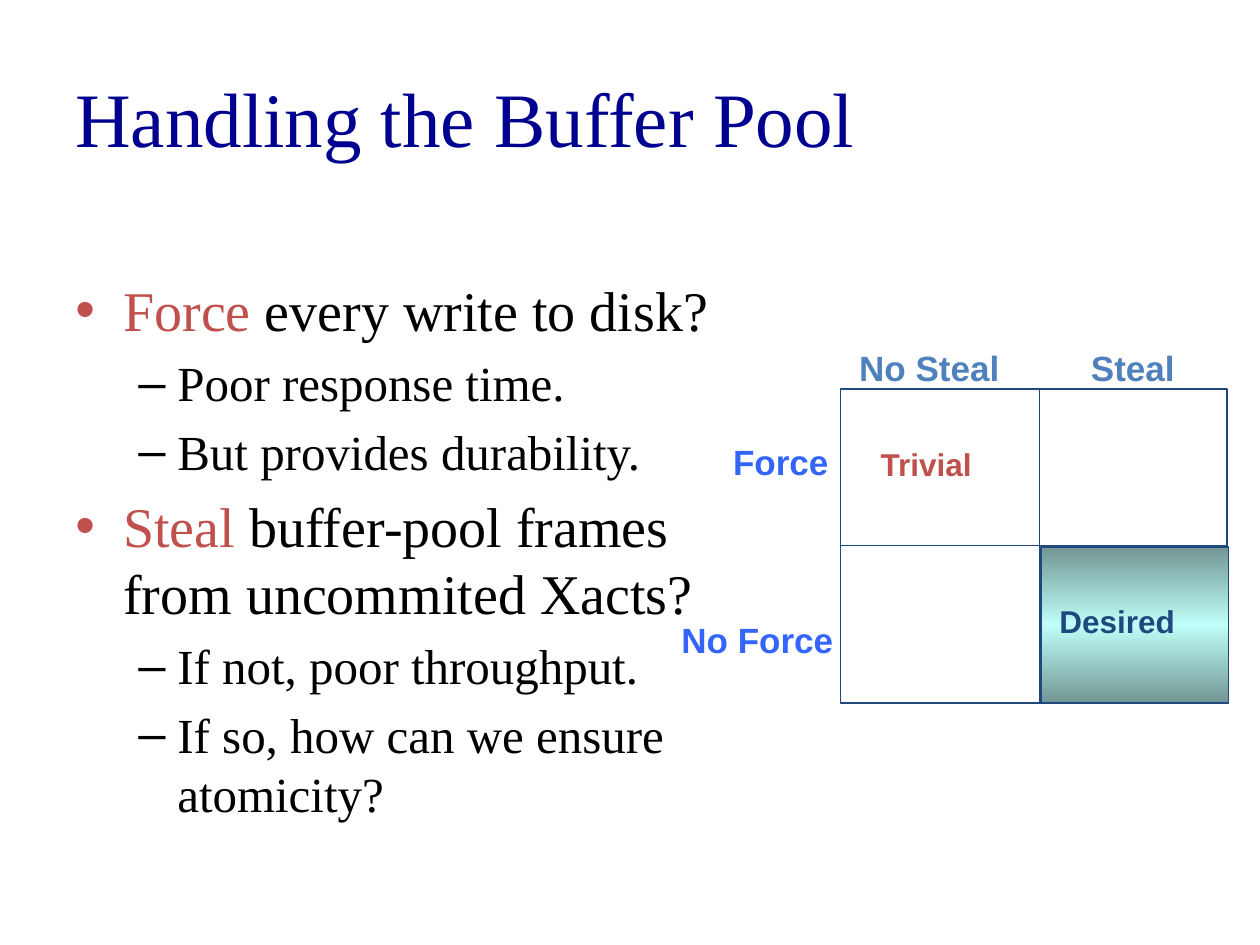
import copy
from dataclasses import dataclass

import pptx
import pptx.dml.color
import pptx.enum.shapes
import pptx.enum.text
import pptx.oxml
import pptx.oxml.ns
import pptx.util

PX = 9144  # EMU in one px, 100 px to the inch


@dataclass(frozen=True)
class Theme:
    serif: str = "Times New Roman"
    sans: str = "Arial"
    title: str = "000090"
    text: str = "000000"
    accent: str = "C0504D"
    row: str = "3365FB"
    column: str = "4F81BD"
    line: str = "1F497D"
    glow: str = "C0FEF9"
    shade: str = "719693"
    title_size: int = 44
    body_sizes: tuple = (32, 28)
    label_size: int = 20
    cell_size: int = 18


THEME = Theme()


def px(value):
    return pptx.util.Emu(value * PX)


def rgb(color):
    return pptx.dml.color.RGBColor.from_string(color)


def add_run(paragraph, text, font, size, color, bold=False):
    run = paragraph.add_run()
    run.text = text
    run.font.name = font
    run.font.size = pptx.util.Pt(size)
    run.font.bold = bold
    run.font.color.rgb = rgb(color)


def add_text_box(slide, left, top, width, height, wrap=True):
    frame = slide.shapes.add_textbox(px(left), px(top), px(width), px(height)).text_frame
    frame.word_wrap = wrap
    return frame


def add_title(slide, left, top, width, height):
    frame = add_text_box(slide, left, top, width, height)
    frame.vertical_anchor = pptx.enum.text.MSO_ANCHOR.MIDDLE
    add_run(frame.paragraphs[0], "Handling the Buffer Pool",
            THEME.serif, THEME.title_size, THEME.title)


def set_bullet(paragraph, character, margin, hanging):
    properties = paragraph._p.get_or_add_pPr()
    properties.set("marL", str(px(margin)))
    properties.set("indent", str(px(-hanging)))
    for tag, name, value in (("a:buFont", "typeface", THEME.sans),
                             ("a:buChar", "char", character)):
        pptx.oxml.ns.qn(tag)
        element = properties.makeelement(pptx.oxml.ns.qn(tag), {name: value})
        properties.append(element)


def add_bullets(slide, left, top, width, height):
    levels = (("•", 38, 38), ("–", 81, 31))
    items = (
        (0, "Force", " every write to disk?"),
        (1, "", "Poor response time."),
        (1, "", "But provides durability."),
        (0, "Steal", " buffer-pool frames from uncommited Xacts?"),
        (1, "", "If not, poor throughput."),
        (1, "", "If so, how can we ensure atomicity?"),
    )
    frame = add_text_box(slide, left, top, width, height)
    for index, (level, keyword, rest) in enumerate(items):
        paragraph = frame.add_paragraph() if index else frame.paragraphs[0]
        size = THEME.body_sizes[level]
        paragraph.level = level
        set_bullet(paragraph, *levels[level])
        if index:
            paragraph.space_before = pptx.util.Pt(size * 0.2)
        if keyword:
            add_run(paragraph, keyword, THEME.serif, size, THEME.accent)
        add_run(paragraph, rest, THEME.serif, size, THEME.text)


def add_box(slide, left, top, width, height):
    shape = slide.shapes.add_shape(pptx.enum.shapes.MSO_SHAPE.RECTANGLE,
                                   px(left), px(top), px(width), px(height))
    shape.shadow.inherit = False
    shape.fill.background()
    shape.line.color.rgb = rgb(THEME.line)
    shape.line.width = pptx.util.Pt(1)
    return shape


def fill_glow(shape):
    fill = shape.fill
    fill.gradient()
    fill.gradient_angle = 90
    first = fill.gradient_stops[0]._gs
    first.addnext(copy.deepcopy(first))
    colors = (THEME.shade, THEME.glow, THEME.shade)
    for stop, position, color in zip(fill.gradient_stops, (0, 0.5, 1), colors):
        stop.position = position
        stop.color.rgb = rgb(color)


def add_rule(slide, left, top, right, bottom):
    connector = slide.shapes.add_connector(pptx.enum.shapes.MSO_CONNECTOR.STRAIGHT,
                                           px(left), px(top), px(right), px(bottom))
    connector.line.color.rgb = rgb(THEME.line)
    connector.line.width = pptx.util.Pt(1)
    properties = connector._element.spPr
    properties.append(properties.makeelement(pptx.oxml.ns.qn("a:effectLst"), {}))


def add_matrix(slide, left, top, width, height):
    right, bottom = left + width, top + height
    middle_x, middle_y = left + 158, top + height // 2

    # Outer frame and the two dividing lines
    add_box(slide, left, top, width, height)
    add_rule(slide, left, middle_y, right, middle_y)
    add_rule(slide, middle_x, top, middle_x, bottom)

    # Highlighted cell
    fill_glow(add_box(slide, middle_x + 1, middle_y + 1,
                      right - middle_x, bottom - middle_y - 1))

    # Row, column and cell labels, offset from the corner of the matrix
    labels = (
        ("Force", -95, 36, 97, 44, THEME.label_size, THEME.row),
        ("No Force", -136, 177, 142, 44, THEME.label_size, THEME.row),
        ("No Steal", 5, -39, 132, 44, THEME.label_size, THEME.column),
        ("Steal", 189, -39, 88, 44, THEME.label_size, THEME.column),
        ("Trivial", 22, 39, 119, 51, THEME.cell_size, THEME.accent),
        ("Desired", 164, 164, 144, 51, THEME.cell_size, THEME.line),
    )
    for text, x, y, label_width, label_height, size, color in labels:
        frame = add_text_box(slide, left + x, top + y, label_width, label_height)
        add_run(frame.paragraphs[0], text, THEME.sans, size, color, bold=True)


def main():
    presentation = pptx.Presentation()
    presentation.slide_width = px(1000)
    presentation.slide_height = px(750)
    slide = presentation.slides.add_slide(presentation.slide_layouts[6])
    add_title(slide, 50, 30, 900, 125)
    add_bullets(slide, 50, 214, 550, 436)
    add_matrix(slide, 667, 309, 307, 249)
    presentation.save("out.pptx")


if __name__ == "__main__":
    main()
